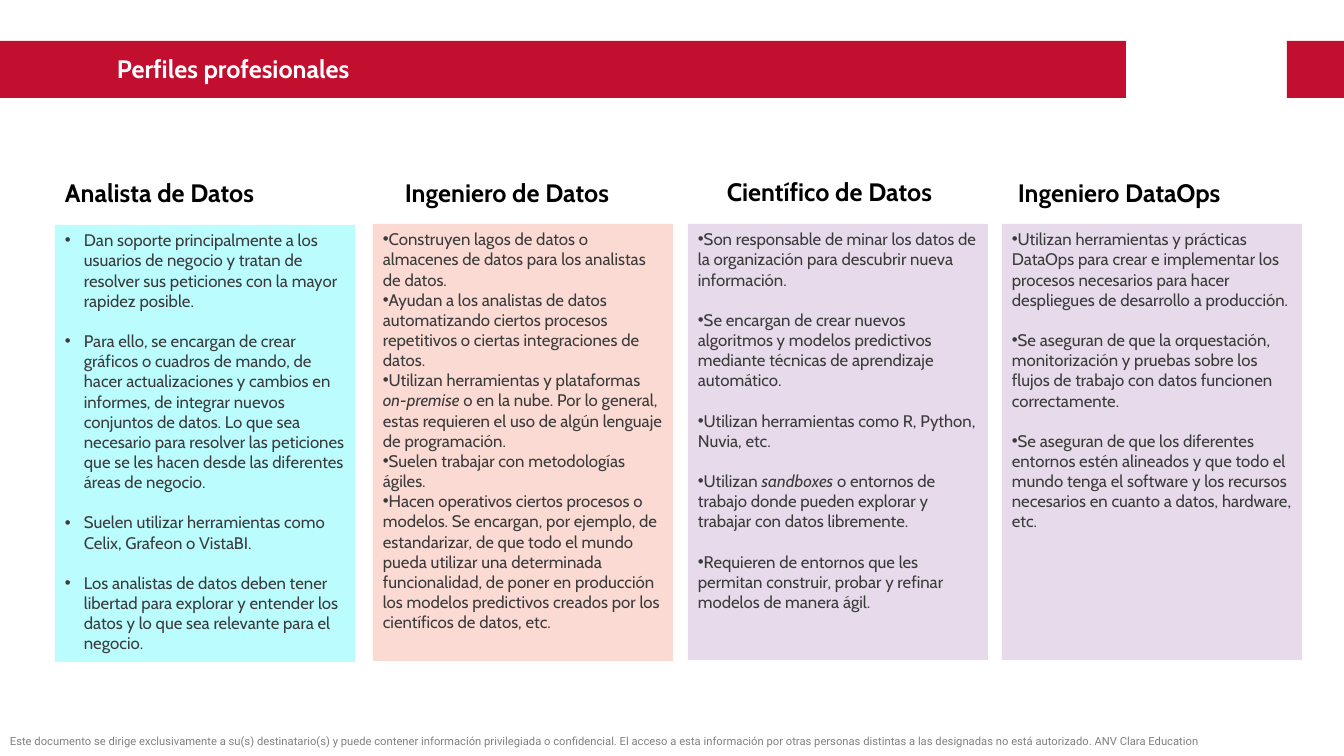
from lxml import etree
from pptx import Presentation
from pptx.dml.color import RGBColor
from pptx.enum.shapes import MSO_SHAPE
from pptx.enum.text import MSO_ANCHOR, PP_ALIGN
from pptx.oxml.ns import qn
from pptx.util import Pt

RECTANGLE = MSO_SHAPE.RECTANGLE
TOP = MSO_ANCHOR.TOP
LEFT = PP_ALIGN.LEFT

RED = RGBColor(0xC2, 0x0F, 0x2F)
WHITE = RGBColor(0xFF, 0xFF, 0xFF)
BLACK = RGBColor(0x00, 0x00, 0x00)
DARK = RGBColor(0x3B, 0x3B, 0x3B)
GRAY = RGBColor(0x80, 0x80, 0x80)
CYAN = RGBColor(0xBB, 0xFD, 0xFF)
PINK = RGBColor(0xFA, 0xDA, 0xD3)
LILAC = RGBColor(0xE7, 0xDA, 0xEA)

# Content: asterisks enclose italic words
TITLE = "Perfiles profesionales"
FOOTER = (
    "Este documento se dirige exclusivamente a su(s) destinatario(s) y puede contener "
    "información privilegiada o confidencial. El acceso a esta información por otras "
    "personas distintas a las designadas no está autorizado. ANV Clara Education"
)
PROFILES = [
    {
        "heading": "Analista de Datos", "heading_at": (55, 172),
        "box": (55, 225, 300, 437), "fill": CYAN, "hanging": 19, "gap": 14.4,
        "items": [
            "Dan soporte principalmente a los usuarios de negocio y tratan de resolver sus "
            "peticiones con la mayor rapidez posible.",
            "Para ello, se encargan de crear gráficos o cuadros de mando, de hacer "
            "actualizaciones y cambios en informes, de integrar nuevos conjuntos de datos. "
            "Lo que sea necesario para resolver las peticiones que se les hacen desde las "
            "diferentes áreas de negocio.",
            "Suelen utilizar herramientas como Celix, Grafeon o VistaBI.",
            "Los analistas de datos deben tener libertad para explorar y entender los datos "
            "y lo que sea relevante para el negocio.",
        ],
    },
    {
        "heading": "Ingeniero de Datos", "heading_at": (395, 172),
        "box": (373, 224, 300, 437), "fill": PINK, "hanging": 0, "gap": 0,
        "items": [
            "Construyen lagos de datos o almacenes de datos para los analistas de datos.",
            "Ayudan a los analistas de datos automatizando ciertos procesos repetitivos o "
            "ciertas integraciones de datos.",
            "Utilizan herramientas y plataformas *on-premise* o en la nube. Por lo general, "
            "estas requieren el uso de algún lenguaje de programación.",
            "Suelen trabajar con metodologías ágiles.",
            "Hacen operativos ciertos procesos o modelos. Se encargan, por ejemplo, de "
            "estandarizar, de que todo el mundo pueda utilizar una determinada "
            "funcionalidad, de poner en producción los modelos predictivos creados por los "
            "científicos de datos, etc.",
        ],
    },
    {
        "heading": "Científico de Datos", "heading_at": (717, 171),
        "box": (688, 224, 300, 436), "fill": LILAC, "hanging": 0, "gap": 14.4,
        "items": [
            "Son responsable de minar los datos de la organización para descubrir nueva "
            "información.",
            "Se encargan de crear nuevos algoritmos y modelos predictivos mediante técnicas "
            "de aprendizaje automático.",
            "Utilizan herramientas como R, Python, Nuvia, etc.",
            "Utilizan *sandboxes* o entornos de trabajo donde pueden explorar y trabajar "
            "con datos libremente.",
            "Requieren de entornos que les permitan construir, probar y refinar modelos de "
            "manera ágil.",
        ],
    },
    {
        "heading": "Ingeniero DataOps", "heading_at": (1008, 172),
        "box": (1002, 224, 300, 436), "fill": LILAC, "hanging": 0, "gap": 14.4,
        "items": [
            "Utilizan herramientas y prácticas DataOps para crear e implementar los "
            "procesos necesarios para hacer despliegues de desarrollo a producción.",
            "Se aseguran de que la orquestación, monitorización y pruebas sobre los flujos "
            "de trabajo con datos funcionen correctamente.",
            "Se aseguran de que los diferentes entornos estén alineados y que todo el mundo "
            "tenga el software y los recursos necesarios en cuanto a datos, hardware, etc.",
        ],
    },
]
BANNERS = [(0, 41, 1126, 57), (1287, 41, 57, 57)]

# Text formats
HEADING_FONT = {"name": "Cabin", "size": Pt(18), "bold": True}
BODY_FONT = {"name": "Cabin", "size": Pt(12)}
FOOTER_FONT = {"name": "Roboto", "size": Pt(8)}


def px(length):
    return round(length * 914400 / 100.8)


def add_run(paragraph, text, font_format, color, italic=False):
    run = paragraph.add_run()
    run.text = text
    for attribute, value in font_format.items():
        setattr(run.font, attribute, value)
    run.font.color.rgb = color
    if italic:
        run.font.italic = True


def add_label(slide, box, text, font_format, color):
    frame = slide.shapes.add_textbox(*map(px, box)).text_frame
    frame.word_wrap = True
    add_run(frame.paragraphs[0], text, font_format, color)


def add_rectangle(slide, box, color):
    shape = slide.shapes.add_shape(RECTANGLE, *map(px, box))
    shape.shadow.inherit = False
    shape.fill.solid()
    shape.fill.fore_color.rgb = color
    shape.line.fill.background()
    return shape


def set_bullet(paragraph, hanging):
    properties = paragraph._p.get_or_add_pPr()
    properties.set("marL", str(px(hanging)))
    properties.set("indent", str(-px(hanging)))
    etree.SubElement(properties, qn("a:buFont"), typeface="Arial")
    etree.SubElement(properties, qn("a:buChar"), char="•")


def add_profile(slide, profile):
    add_label(slide, (*profile["heading_at"], 300, 40), profile["heading"], HEADING_FONT, BLACK)
    frame = add_rectangle(slide, profile["box"], profile["fill"]).text_frame
    frame.word_wrap = True
    frame.vertical_anchor = TOP
    for index, item in enumerate(profile["items"]):
        paragraph = frame.add_paragraph() if index else frame.paragraphs[0]
        paragraph.alignment = LEFT
        paragraph.space_before = Pt(profile["gap"] if index else 0)
        set_bullet(paragraph, profile["hanging"])
        for part, text in enumerate(item.split("*")):
            add_run(paragraph, text, BODY_FONT, DARK, italic=part % 2 == 1)


def main():
    presentation = Presentation()
    presentation.slide_width = px(1344)
    presentation.slide_height = px(756)
    slide = presentation.slides.add_slide(presentation.slide_layouts[6])

    # Banner, footer and title
    for box in BANNERS:
        add_rectangle(slide, box, RED)
    add_label(slide, (0, 729, 1344, 24), FOOTER, FOOTER_FONT, GRAY)
    add_label(slide, (107, 48, 672, 40), TITLE, HEADING_FONT, WHITE)

    # Profile columns
    for profile in PROFILES:
        add_profile(slide, profile)

    presentation.save("out.pptx")


if __name__ == "__main__":
    main()
